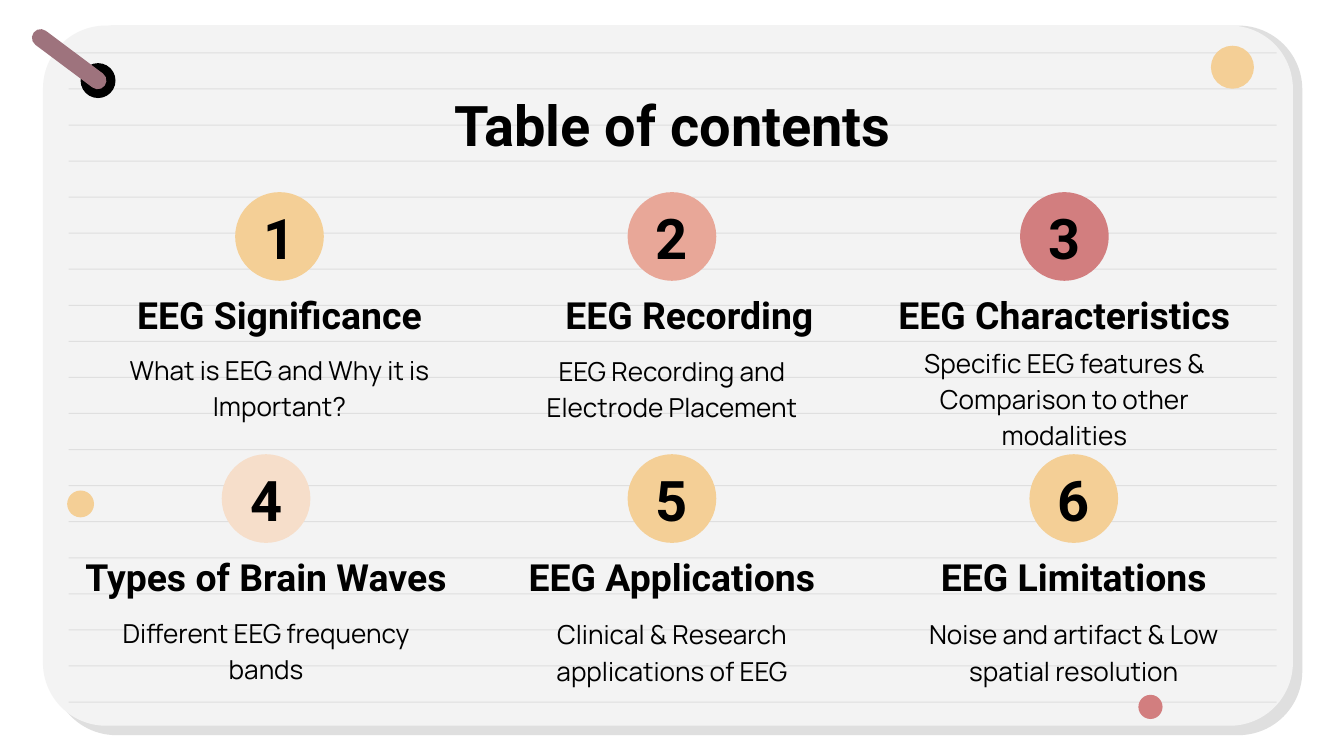
"""Builds a table-of-contents slide on a ruled note card."""
from pptx import Presentation
from pptx import util as u
from pptx.dml.color import RGBColor
from pptx.enum import shapes, text

BLACK = RGBColor(0x00, 0x00, 0x00)
PAPER = RGBColor(0xF3, 0xF3, 0xF3)
RULE = RGBColor(0xDF, 0xDF, 0xDF)
MAUVE = RGBColor(0x9E, 0x73, 0x7D)
SAND = RGBColor(0xF4, 0xCF, 0x96)
CORAL = RGBColor(0xE8, 0xA7, 0x98)
ROSE = RGBColor(0xD2, 0x7E, 0x7F)
PEACH = RGBColor(0xF6, 0xDE, 0xCA)

CELL = u.Inches(0.1)
KIND = shapes.MSO_SHAPE
ANCHOR = text.MSO_ANCHOR
RULE_COUNT = 19
RULE_FIRST, RULE_LAST = 3.9, 52.2
SECTION_ROWS = 19.5
BADGE = 6.6


class ContentsPage:
    """Holds the style and the current slide, measured in cells of a 100-column grid."""

    heading_font = "Roboto"
    body_font = "Manrope"

    def __init__(self, deck):
        """Adds a title-only slide to the deck."""
        self.page = deck.slides.add_slide(deck.slide_layouts[5])

    def area(self, *cells):
        """Turns columns and rows into slide lengths."""
        return [u.Emu(round(cell * CELL)) for cell in cells]

    def shape(self, kind, cells, color, adjustments=(), rotation=0):
        """Draws a flat preset shape."""
        shape = self.page.shapes.add_shape(kind, *self.area(*cells))
        shape.shadow.inherit = False
        shape.fill.solid()
        shape.fill.fore_color.rgb = color
        shape.line.fill.background()
        shape.rotation = rotation
        for index, value in enumerate(adjustments):
            shape.adjustments[index] = value
        return shape

    def dot(self, left, top, size, color):
        """Draws a circle."""
        return self.shape(KIND.OVAL, (left, top, size, size), color)

    def set_words(self, box, words, size, anchor, font, bold, spacing):
        """Fills a box with centred text."""
        frame = box.text_frame
        frame.text = words
        frame.word_wrap = True
        frame.auto_size = text.MSO_AUTO_SIZE.NONE
        frame.vertical_anchor = anchor
        frame.margin_left = frame.margin_right = CELL
        frame.margin_top = frame.margin_bottom = CELL
        para = frame.paragraphs[0]
        para.alignment = text.PP_ALIGN.CENTER
        para.line_spacing = spacing
        span = para.runs[0]
        span.font.name = font
        span.font.size = u.Pt(size)
        span.font.bold = bold
        span.font.color.rgb = BLACK

    def title(self, words, cells):
        """Moves the title placeholder to the front and fills it."""
        box = self.page.shapes.title
        box.left, box.top, box.width, box.height = self.area(*cells)
        self.page.shapes.element.append(box.element)
        self.set_words(box, words, 30, ANCHOR.TOP, self.heading_font, True, 1.0)

    def label(self, words, center, top, width, height, size, anchor,
              font=heading_font, bold=True, spacing=1.15):
        """Adds a text box centred on a column."""
        cells = self.area(center - width / 2, top, width, height)
        box = self.page.shapes.add_textbox(*cells)
        self.set_words(box, words, size, anchor, font, bold, spacing)

    def card(self):
        """Draws the ruled paper with its pin."""
        self.shape(KIND.ROUNDED_RECTANGLE, (3.9, 1.9, 93, 52.8), RULE, [0.09])
        self.shape(KIND.ROUNDED_RECTANGLE, (3.2, 1.9, 93, 52.1), PAPER, [0.09])
        step = (RULE_LAST - RULE_FIRST) / (RULE_COUNT - 1)
        for index in range(RULE_COUNT):
            top = RULE_FIRST + index * step
            self.shape(KIND.RECTANGLE, (5.1, top, 89.9, 0.08), RULE)
        self.dot(6, 4.7, 2.6, BLACK)
        self.shape(KIND.ROUND_2_SAME_RECTANGLE, (4.5, 1.1, 1.3, 6.6), MAUVE,
                   [0.5, 0.5], 306.8)

    def section(self, number, center, color, heading, heading_center, heading_width,
                body, body_top):
        """Adds a numbered badge with its heading and description."""
        top = (number - 1) // 3 * SECTION_ROWS
        self.dot(center - BADGE / 2, top + 14.3, BADGE, color)
        self.label(str(number), center, top + 15, 11.2, 5.3, 30, ANCHOR.MIDDLE,
                   spacing=1.0)
        self.label(heading, heading_center, top + 22, heading_width, 4.1, 20,
                   ANCHOR.BOTTOM)
        self.label(body, center, body_top, 25.9, 6.1, 14, ANCHOR.TOP,
                   self.body_font, False)


SECTIONS = [
    (20.8, SAND, "EEG Significance", 20.8, 25.9,
     "What is EEG and Why it is Important?", 25),
    (50, CORAL, "EEG Recording", 51.3, 28.6,
     "EEG Recording and Electrode Placement", 25.1),
    (79.2, ROSE, "EEG Characteristics", 79.2, 29.9,
     "Specific EEG features & Comparison to other modalities", 24.5),
    (19.8, PEACH, "Types of Brain Waves", 19.8, 30.7,
     "Different EEG frequency bands", 44.6),
    (50, SAND, "EEG Applications", 50, 29.9,
     "Clinical & Research applications of EEG", 44.7),
    (79.9, SAND, "EEG Limitations", 79.9, 29.9,
     "Noise and artifact & Low spatial resolution", 44.7),
]


def main():
    """Builds and saves the deck."""
    deck = Presentation()
    deck.slide_width = u.Inches(10)
    deck.slide_height = u.Inches(10) * 9 // 16
    contents = ContentsPage(deck)
    contents.card()
    contents.dot(90.1, 3.4, 3.2, SAND)
    contents.dot(5, 36.5, 2, SAND)
    contents.dot(84.7, 51.7, 1.8, ROSE)
    contents.title("Table of contents", (7.9, 5.7, 84.3, 6.3))
    for number, section in enumerate(SECTIONS, 1):
        contents.section(number, *section)
    deck.save("out.pptx")


if __name__ == "__main__":
    main()
